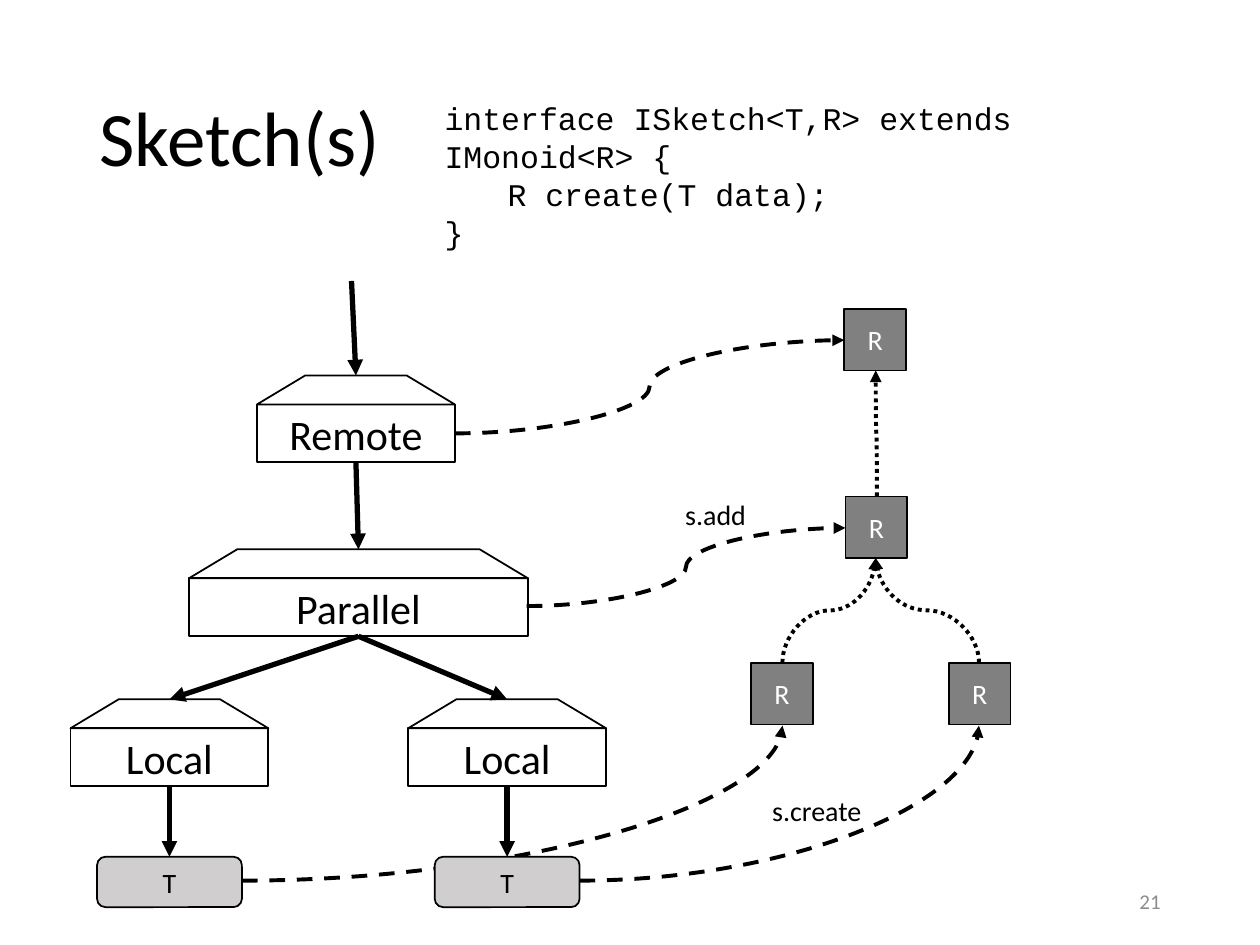
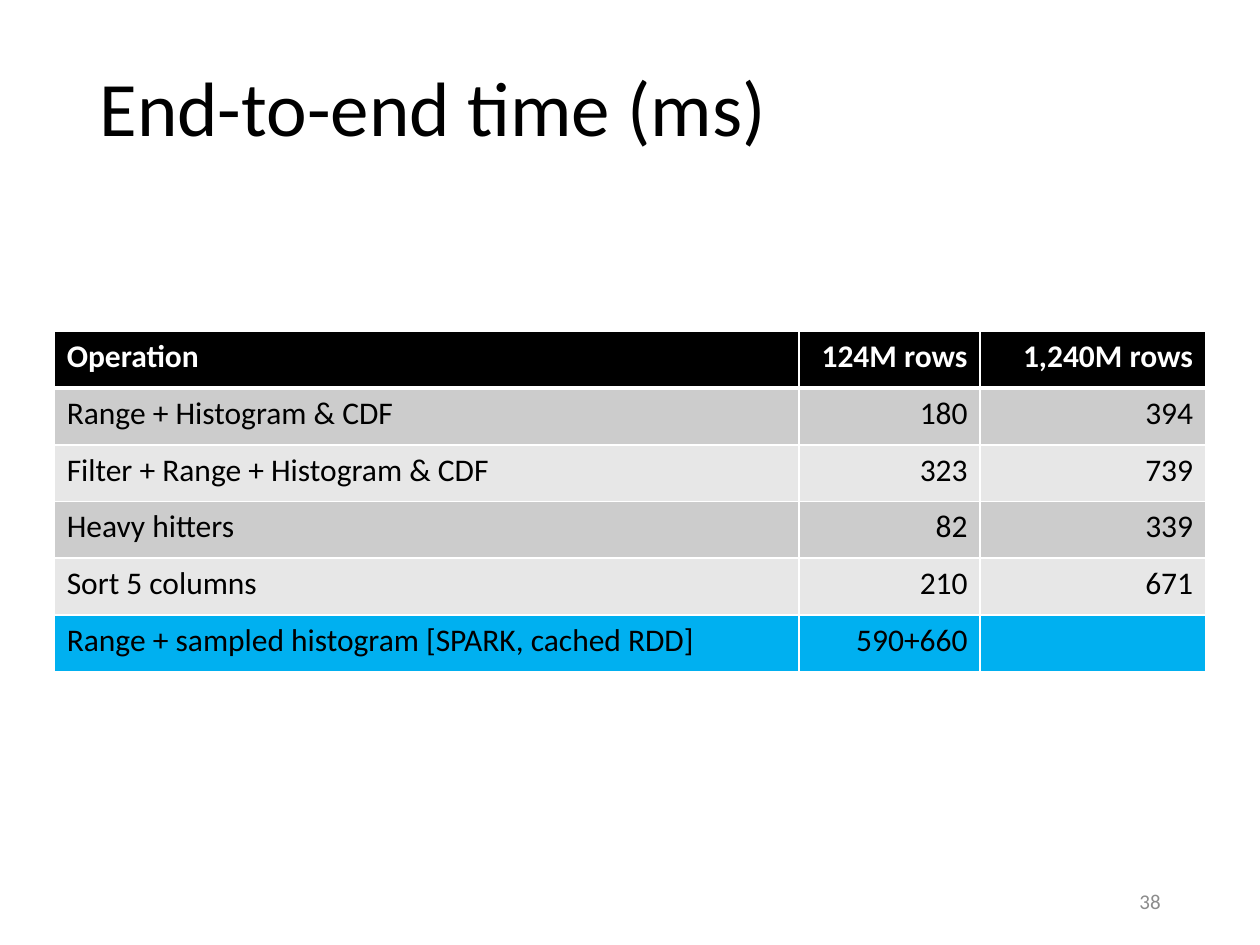
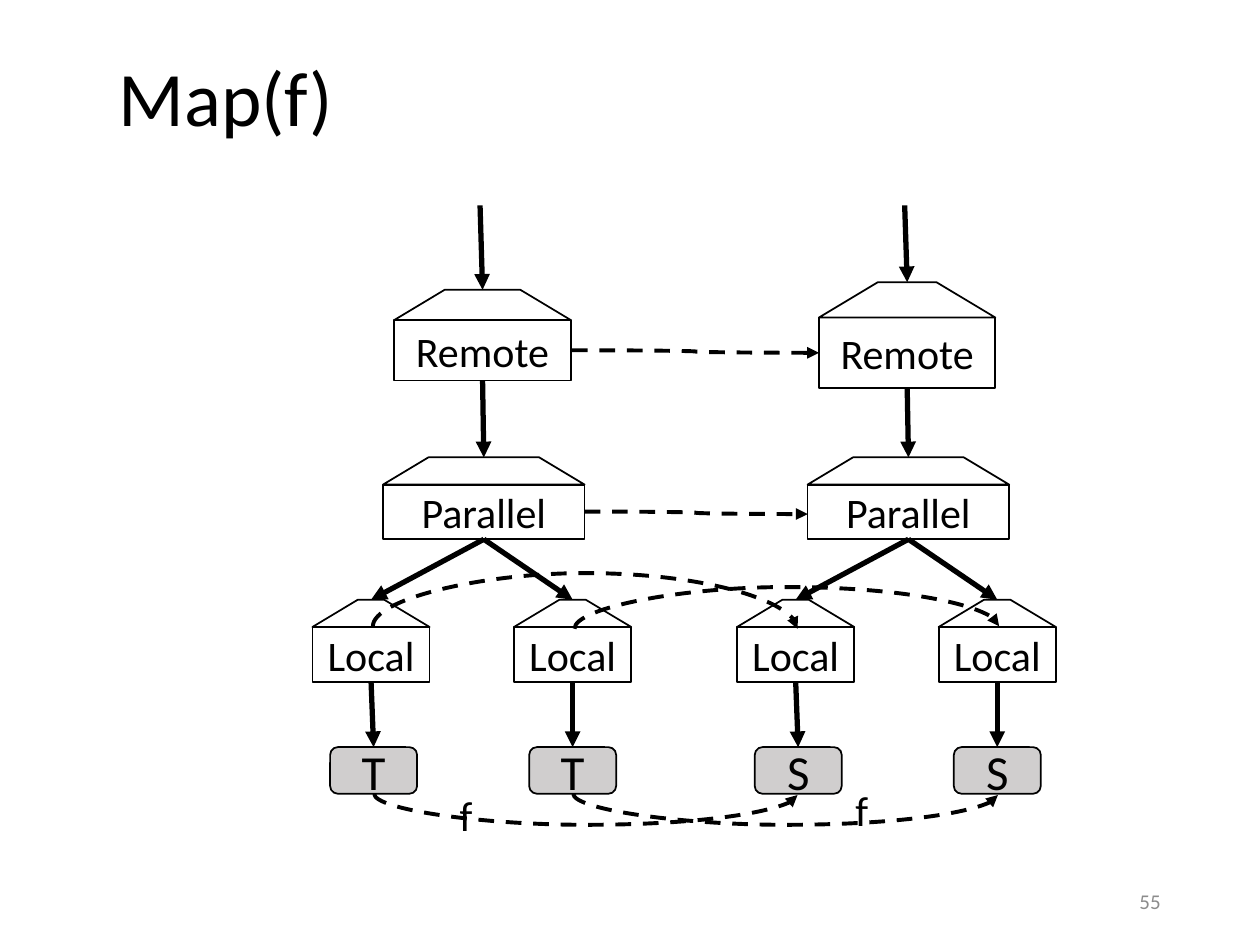
from collections import namedtuple

from lxml.etree import SubElement
from pptx import Presentation
from pptx.dml.color import RGBColor
from pptx.enum.dml import MSO_LINE
from pptx.enum.shapes import MSO_CONNECTOR as Link, MSO_SHAPE as Preset
from pptx.enum.text import MSO_ANCHOR as Anchor, MSO_AUTO_SIZE as AutoSize, PP_ALIGN as Align
from pptx.oxml.ns import qn
from pptx.util import Inches, Pt

COLORS = {
    "ink": "000000", "paper": "FFFFFF", "number": "8C8C8C",
    "result": "808080", "data": "D0CECE",
    "band_dark": "CCCCCC", "band_light": "E7E7E7", "highlight": "00B0F0",
}
FONT, CODE_FONT = "Calibri", "Courier New"
TITLE_ONLY = 5

House = namedtuple("House", "roof floor")


def color(name):
    return RGBColor.from_string(COLORS[name])


class Deck:
    """Holds the shared style and the slide being built."""

    def __init__(self):
        self.prs = Presentation()
        self.prs.slide_width, self.prs.slide_height = Inches(10), Inches(7.5)
        self.slide = None

    @property
    def shapes(self):
        return self.slide.shapes

    # Text
    def run(self, paragraph, text, size, ink="ink", font=FONT, bold=False):
        run = paragraph.add_run()
        run.text = text
        run.font.size, run.font.name, run.font.bold = Pt(size), font, bold
        run.font.color.rgb = color(ink)

    def text(self, text, box, size, align=Align.LEFT, ink="ink", wrap=True,
             anchor=Anchor.TOP):
        frame = self.shapes.add_textbox(*map(Inches, box)).text_frame
        frame.word_wrap, frame.vertical_anchor = wrap, anchor
        frame.paragraphs[0].alignment = align
        self.run(frame.paragraphs[0], text, size, ink)

    def code(self, lines, box, size):
        frame = self.shapes.add_textbox(*map(Inches, box)).text_frame
        frame.word_wrap, frame.auto_size = True, AutoSize.SHAPE_TO_FIT_TEXT
        paragraph = frame.paragraphs[0]
        tabs = SubElement(paragraph._p.get_or_add_pPr(), qn("a:tabLst"))
        SubElement(tabs, qn("a:tab"), pos=str(Inches(0.5)), algn="l")
        for index, line in enumerate(lines):
            if index:
                paragraph.add_line_break()
            self.run(paragraph, line, size, font=CODE_FONT)

    def new_slide(self, title, number, box):
        self.slide = self.prs.slides.add_slide(self.prs.slide_layouts[TITLE_ONLY])
        heading = self.shapes.title
        heading.left, heading.top, heading.width, heading.height = map(Inches, box)
        frame = heading.text_frame
        frame.vertical_anchor, frame.auto_size = Anchor.MIDDLE, AutoSize.NONE
        paragraph = frame.paragraphs[0]
        paragraph.alignment, paragraph.line_spacing = Align.LEFT, 0.9
        self.run(paragraph, title, 44)
        self.text(str(number), (7.06, 6.95, 2.25, 0.4), 12, Align.RIGHT, "number",
                  anchor=Anchor.MIDDLE)

    # Boxes
    def box(self, preset, box, label="", size=24, fill=None, ink="ink",
            wrap=True, parent=None):
        shape = (parent or self.slide).shapes.add_shape(preset, *map(Inches, box))
        shape.shadow.inherit = False
        if fill:
            shape.fill.solid()
            shape.fill.fore_color.rgb = color(fill)
        else:
            shape.fill.background()
        shape.line.color.rgb, shape.line.width = color("ink"), Pt(1)
        if label:
            frame = shape.text_frame
            frame.word_wrap, frame.vertical_anchor = wrap, Anchor.MIDDLE
            frame.paragraphs[0].alignment = Align.CENTER
            self.run(frame.paragraphs[0], label, size, ink)
        return shape

    def house(self, label, left, top, width, height):
        """A node whose roof takes the upper third."""
        group = self.shapes.add_group_shape()
        eaves = height / 3
        roof = self.box(Preset.TRAPEZOID, (left, top, width, eaves), parent=group)
        roof.adjustments[0] = 1.667
        floor = self.box(Preset.RECTANGLE, (left, top + eaves, width, height - eaves),
                         label, wrap=False, parent=group)
        return House(roof, floor)

    def data(self, label, box, size):
        return self.box(Preset.ROUNDED_RECTANGLE, box, label, size, "data")

    def result(self, left, top):
        return self.box(Preset.RECTANGLE, (left, top, 0.49, 0.49), "R", 16,
                        "result", "paper")

    # Connectors
    def style_link(self, link, width, dash=None):
        link.line.color.rgb, link.line.width = color("ink"), Pt(width)
        if dash:
            link.line.dash_style = dash
        SubElement(link.line._get_or_add_ln(), qn("a:tailEnd"), type="triangle")
        SubElement(link.element.spPr, qn("a:effectLst"))

    def arrow(self, source, target):
        """Straight arrow from a point or a shape's bottom to a shape's top."""
        from_point = isinstance(source, tuple)
        start = map(Inches, source if from_point else (0, 0))
        link = self.shapes.add_connector(Link.STRAIGHT, *start, 0, 0)
        if not from_point:
            link.begin_connect(source, 2)
        link.end_connect(target, 0)
        self.style_link(link, 3)

    def curve(self, start, end, dash=MSO_LINE.DASH, quarter=False):
        """Curve that leaves sideways; a quarter curve arrives vertically."""
        link = self.shapes.add_connector(Link.CURVE, *map(Inches, start + end))
        if quarter:
            link.element.spPr.find(qn("a:prstGeom")).set("prst", "curvedConnector2")
        self.style_link(link, 2.25, dash)

    def rising_curve(self, start, end, dash=MSO_LINE.DASH, turn=None):
        """Curve that leaves vertically and turns at height `turn`."""
        (x1, y1), (x2, y2) = start, end
        mid_x, mid_y = (x1 + x2) / 2, (y1 + y2) / 2
        half_x, half_y = (x2 - x1) / 2, (y2 - y1) / 2
        corners = (mid_x + half_y, mid_y - half_x, mid_x - half_y, mid_y + half_x)
        link = self.shapes.add_connector(Link.CURVE, *map(Inches, corners))
        properties = link.element.spPr
        properties.find(qn("a:xfrm")).set("rot", str(270 * 60000))
        if turn is not None:
            bend = round((turn - y1) / (y2 - y1) * 100000)
            guides = properties.find(qn("a:prstGeom")).find(qn("a:avLst"))
            SubElement(guides, qn("a:gd"), name="adj1", fmla=f"val {bend}")
        self.style_link(link, 2.25, dash)

    # Table
    def border(self, cell, side, width):
        line = SubElement(cell._tc.get_or_add_tcPr(), qn(f"a:ln{side}"), w=str(Pt(width)))
        fill = SubElement(line, qn("a:solidFill"))
        SubElement(fill, qn("a:srgbClr"), val=COLORS["paper"])

    def table(self, rows, fills, left, top, widths, row_height):
        grid = self.shapes.add_table(
            len(rows), len(widths), Inches(left), Inches(top),
            Inches(sum(widths)), Inches(row_height * len(rows))).table
        for column, width in zip(grid.columns, widths):
            column.width = Inches(width)
        for r, (values, fill) in enumerate(zip(rows, fills)):
            header = r == 0
            for c, value in enumerate(values):
                cell = grid.cell(r, c)
                for side in "LRTB":
                    under_header = (r, side) in ((0, "B"), (1, "T"))
                    self.border(cell, side, 3 if under_header else 1)
                cell.fill.solid()
                cell.fill.fore_color.rgb = color(fill)
                paragraph = cell.text_frame.paragraphs[0]
                paragraph.alignment = Align.RIGHT if c else Align.LEFT
                if value:
                    self.run(paragraph, value, 18, "paper" if header else "ink",
                             bold=header)


def sketch_slide(deck):
    deck.new_slide("Sketch(s)", 21, (0.69, 0.4, 8.62, 1.45))

    # Execution tree
    remote = deck.house("Remote", 2.04, 2.98, 1.57, 0.69)
    parallel = deck.house("Parallel", 1.5, 4.36, 2.69, 0.69)
    deck.arrow((2.79, 2.23), remote.roof)
    deck.arrow(remote.floor, parallel.roof)

    # Summaries flowing back up
    for left, top in ((5.96, 5.26), (7.53, 5.26), (6.71, 3.94), (6.7, 2.45)):
        deck.result(left, top)
    deck.curve((4.6, 6.99), (7.77, 5.76), quarter=True)
    deck.curve((1.92, 6.99), (6.21, 5.76), quarter=True)
    for start, end in (((6.21, 5.26), (6.95, 4.43)), ((7.77, 5.26), (6.95, 4.43)),
                       ((6.96, 3.94), (6.95, 2.94))):
        deck.rising_curve(start, end, MSO_LINE.ROUND_DOT)
    deck.text("s.add", (5.34, 3.9, 1.76, 0.37), 16)
    deck.curve((4.18, 4.81), (6.71, 4.19))
    deck.curve((3.61, 3.44), (6.7, 2.7))

    # Leaves and their data
    for left in (0.56, 3.24):
        local = deck.house("Local", left, 5.55, 1.57, 0.69)
        deck.arrow(parallel.floor, local.roof)
        part = deck.data("T", (left + 0.21, 6.8, 1.15, 0.4), 16)
        deck.arrow(local.floor, part)
    deck.text("s.create", (6.03, 6.25, 0.92, 0.37), 16, wrap=False)

    deck.code(["interface ISketch<T,R> extends IMonoid<R> {", "\tR create(T data);", "}"],
              (3.43, 0.74, 6.17, 1.01), 18)


def timing_slide(deck):
    deck.new_slide("End-to-end time (ms)", 38, (0.69, 0.4, 8.62, 0.97))
    timings = [
        ("Operation", "124M rows", "1,240M rows"),
        ("Range + Histogram & CDF", "180", "394"),
        ("Filter + Range + Histogram & CDF", "323", "739"),
        ("Heavy hitters", "82", "339"),
        ("Sort 5 columns", "210", "671"),
        ("Range + sampled histogram [SPARK, cached RDD]", "590+660", ""),
    ]
    fills = ["ink"] + ["band_dark", "band_light"] * 2 + ["highlight"]
    deck.table(timings, fills, 0.43, 2.63, (5.91, 1.44, 1.79), 0.45)


def map_slide(deck):
    deck.new_slide("Map(f)", 55, (0.84, 0.26, 3.83, 1.09))

    # Source tree and mapped tree
    for shift, label, remote_top, remote_height in ((0, "T", 2.3, 0.72),
                                                    (3.37, "S", 2.24, 0.84)):
        remote = deck.house("Remote", 3.13 + shift, remote_top, 1.4, remote_height)
        parallel = deck.house("Parallel", 3.04 + shift, 3.63, 1.6, 0.65)
        deck.arrow((3.81 + shift, 1.63), remote.roof)
        deck.arrow(remote.floor, parallel.roof)
        for local_left, data_left in ((2.48, 2.62), (4.08, 4.2)):
            local = deck.house("Local", local_left + shift, 4.76, 0.93, 0.65)
            deck.arrow(parallel.floor, local.roof)
            part = deck.data(label, (data_left + shift, 5.93, 0.69, 0.37), 28)
            deck.arrow(local.floor, part)

    # Node-to-node mapping
    deck.curve((4.54, 2.78), (6.5, 2.8))
    deck.curve((4.64, 4.06), (6.41, 4.08))
    for start, end, turn in (((2.96, 4.97), (6.33, 4.99), 4.55),
                             ((4.56, 4.99), (7.93, 4.97), 4.66),
                             ((2.97, 6.3), (6.33, 6.31), 6.55),
                             ((4.55, 6.3), (7.92, 6.31), 6.55)):
        deck.rising_curve(start, end, turn=turn)
    for left, top in ((6.69, 6.18), (3.55, 6.22)):
        deck.text("f", (left, top, 0.31, 0.5), 24, wrap=False)


def main():
    deck = Deck()
    sketch_slide(deck)
    timing_slide(deck)
    map_slide(deck)
    deck.prs.save("out.pptx")


if __name__ == "__main__":
    main()
